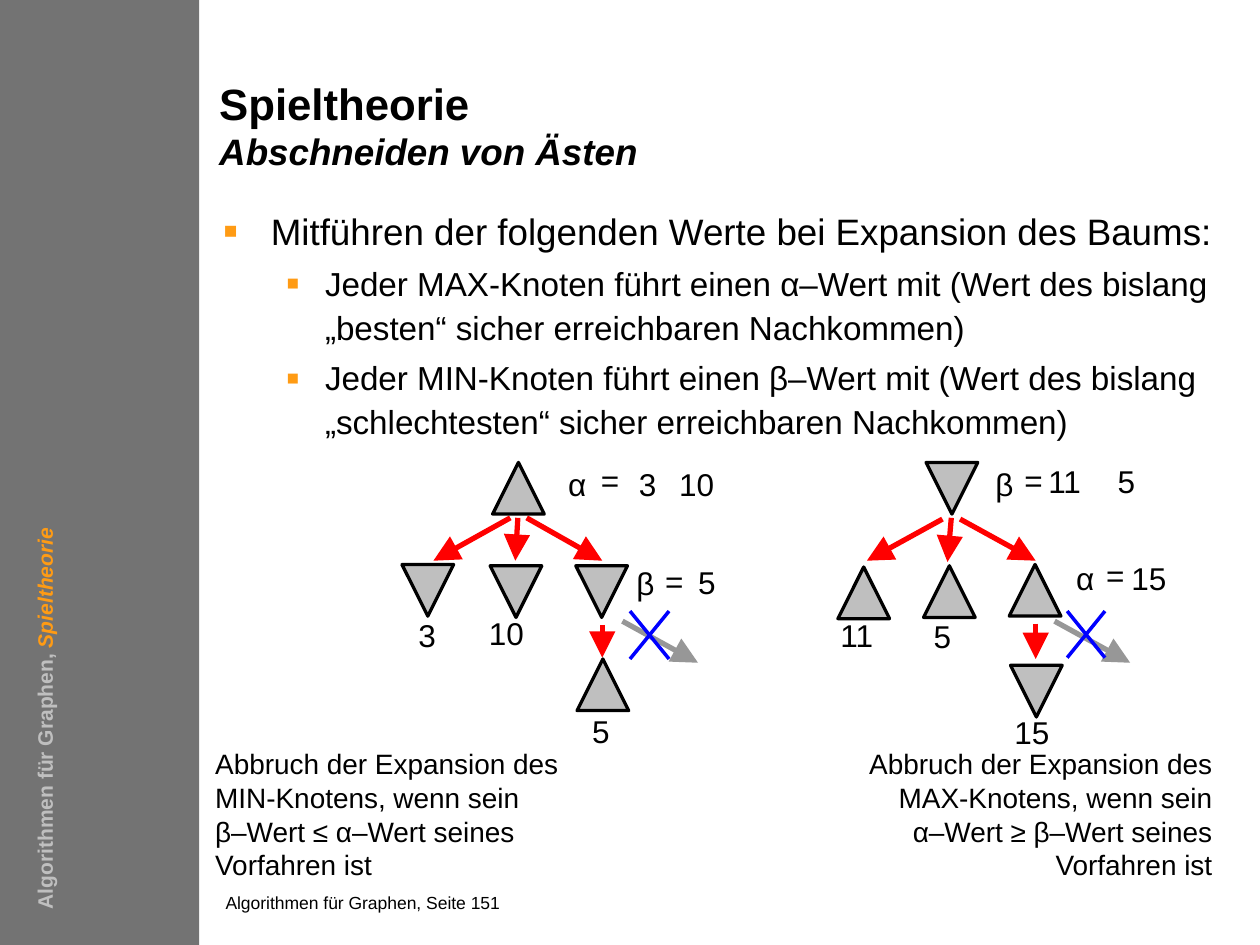
import pptx
import pptx.dml.color
import pptx.enum.shapes
import pptx.enum.text
import pptx.oxml
import pptx.oxml.ns
import pptx.util

Inches, Pt = pptx.util.Inches, pptx.util.Pt
SHAPES = pptx.enum.shapes.MSO_SHAPE
ALIGN = pptx.enum.text.PP_ALIGN
BLACK, ORANGE, RED, GREY, BLUE = "000000", "FF9B14", "FF0000", "979797", "0000FF"
NODE = 0.41

# Content
TITLE = [("Spieltheorie", 25, False), ("Abschneiden von Ästen", 21, True)]
FOOTER = "Algorithmen für Graphen, Seite 151"
CHAPTER = ["Algorithmen für Graphen, ", "Spieltheorie"]
# text, size, indent, hanging
BULLETS = [
    ("Mitführen der folgenden Werte bei Expansion des Baums:", 21, 0.38, 0.38),
    ("Jeder MAX-Knoten führt einen α–Wert mit (Wert des bislang "
     "„besten“ sicher erreichbaren Nachkommen)", 19, 0.81, 0.31),
    ("Jeder MIN-Knoten führt einen β–Wert mit (Wert des bislang "
     "„schlechtesten“ sicher erreichbaren Nachkommen)", 19, 0.81, 0.31),
]
# left, top, height, alignment, text
RULES = [
    (1.61, 5.88, 1.16, ALIGN.LEFT, "Abbruch der Expansion des MIN-Knotens, wenn sein\v"
     "β–Wert ≤ α–Wert seines Vorfahren ist"),
    (6.62, 5.88, 1.14, ALIGN.RIGHT, "Abbruch der Expansion des MAX-Knotens, wenn sein\v"
     "α–Wert ≥ β–Wert seines Vorfahren ist"),
]
# nodes: left, top, points up; arrows: start and tip; cross: left, top, right, bottom
TREES = [
    {"nodes": [(3.91, 3.67, True), (3.19, 4.48, False), (3.89, 4.49, False),
               (4.57, 4.49, False), (4.58, 5.23, True)],
     "arrows": [(4.05, 4.11, 3.44, 4.45), (4.11, 4.11, 4.09, 4.45),
                (4.18, 4.11, 4.78, 4.45), (4.78, 4.96, 4.78, 5.22)],
     "pruned": (4.94, 4.93, 5.54, 5.26),
     "cross": (5.0, 4.85, 5.31, 5.23),
     "labels": [("3", 3.32, 4.89), ("10", 3.88, 4.87), ("5", 4.7, 5.65),
                ("α", 4.51, 3.69), ("=", 4.77, 3.66), ("3", 5.07, 3.69), ("10", 5.39, 3.69),
                ("β", 5.05, 4.48), ("=", 5.28, 4.46), ("5", 5.54, 4.47)]},
    {"nodes": [(7.35, 3.67, False), (6.65, 4.5, True), (7.33, 4.49, True),
               (8.01, 4.48, True), (8.02, 5.28, False)],
     "arrows": [(7.48, 4.12, 6.88, 4.45), (7.55, 4.11, 7.52, 4.46),
                (7.62, 4.12, 8.22, 4.45), (8.22, 4.95, 8.22, 5.23)],
     "pruned": (8.37, 4.93, 8.97, 5.26),
     "cross": (8.47, 4.85, 8.77, 5.22),
     "labels": [("11", 6.67, 4.89), ("5", 7.41, 4.9), ("15", 8.05, 5.66),
                ("β", 7.9, 3.69), ("=", 8.13, 3.66), ("11", 8.32, 3.67), ("5", 8.87, 3.67),
                ("α", 8.54, 4.44), ("=", 8.78, 4.41), ("15", 8.98, 4.44)]},
]


def rgb(value):
    return pptx.dml.color.RGBColor.from_string(value)


def style(run, size, color=BLACK, bold=False, italic=False):
    run.font.name, run.font.size = "Arial", Pt(size)
    run.font.bold, run.font.italic = bold, italic
    run.font.color.rgb = rgb(color)


def add_text(left, top, width, height, text="", size=18, wrap=True, margins=(0, 0)):
    box = slide.shapes.add_textbox(Inches(left), Inches(top), Inches(width), Inches(height))
    frame = box.text_frame
    frame.word_wrap = wrap
    frame.margin_left = frame.margin_right = Inches(margins[0])
    frame.margin_top = frame.margin_bottom = Inches(margins[1])
    frame.text = text
    for run in frame.paragraphs[0].runs:
        style(run, size)
    return box


def add_shape(kind, left, top, width, height, fill):
    shape = slide.shapes.add_shape(kind, Inches(left), Inches(top), Inches(width), Inches(height))
    shape.shadow.inherit = False
    shape.fill.solid()
    shape.fill.fore_color.rgb = rgb(fill)
    shape.line.fill.background()
    return shape


def add_node(left, top, points_up):
    node = add_shape(SHAPES.ISOSCELES_TRIANGLE, left, top, NODE, NODE, "BFBFBF")
    node.line.color.rgb = rgb(BLACK)
    node.line.width = Pt(1.88)
    node.rotation = 0 if points_up else 180


def add_line(ends, color, width, arrow=False):
    line = slide.shapes.add_connector(pptx.enum.shapes.MSO_CONNECTOR.STRAIGHT,
                                      *[Inches(value) for value in ends])
    line.line.color.rgb = rgb(color)
    line.line.width = Pt(width)
    properties = line.line._get_or_add_ln()
    if arrow:
        add_xml(properties, '<a:tailEnd {} type="triangle" w="lg" len="lg"/>')
    add_xml(properties.getparent(), "<a:effectLst {}/>")


def add_xml(parent, xml):
    parent.append(pptx.oxml.parse_xml(xml.format(pptx.oxml.ns.nsdecls("a"))))


def add_bullet(paragraph, indent, hanging):
    properties = paragraph._p.get_or_add_pPr()
    properties.set("marL", str(Inches(indent)))
    properties.set("indent", str(-Inches(hanging)))
    for xml in (f'<a:buClr {{}}><a:srgbClr val="{ORANGE}"/></a:buClr>',
                '<a:buSzPct {} val="120000"/>',
                '<a:buFont {} typeface="Arial"/>',
                '<a:buChar {} char="▪"/>'):
        add_xml(properties, xml)


deck = pptx.Presentation()
deck.slide_width, deck.slide_height = Inches(10), Inches(7.5)
slide = deck.slides.add_slide(deck.slide_layouts[6])

# Sidebar with chapter line
add_shape(SHAPES.RECTANGLE, 0, 0, 1.58, 7.5, "737373")
chapter = add_text(-1.98, 4.83, 4.67, 0.3, margins=(0.1, 0.05))
chapter.rotation = 270
for words, color, italic in zip(CHAPTER, ("BFBFBF", ORANGE), (False, True)):
    run = chapter.text_frame.paragraphs[0].add_run()
    run.text = words
    style(run, 12, color, True, italic)

# Title and footer
heading = add_text(1.74, 0.67, 5.1, 0.75, "\v".join(words for words, _, _ in TITLE))
heading_lines = heading.text_frame.paragraphs[0]
heading_lines.line_spacing = Pt(25.4)
for run, (_, size, italic) in zip(heading_lines.runs, TITLE):
    style(run, size, bold=True, italic=italic)
add_text(1.79, 7.08, 4.86, 0.21, FOOTER, 10)

# Bullet list
body = add_text(1.77, 1.62, 8.07, 2.13).text_frame
for index, (words, size, indent, hanging) in enumerate(BULLETS):
    paragraph = body.add_paragraph() if index else body.paragraphs[0]
    paragraph.text = words
    add_bullet(paragraph, indent, hanging)
    paragraph.line_spacing = 1.1
    if index:
        paragraph.space_before = Pt(size * 0.2)
    style(paragraph.runs[0], size)

# Game trees
for tree in TREES:
    for arrow in tree["arrows"]:
        add_line(arrow, RED, 3, arrow=True)
    add_line(tree["pruned"], GREY, 3, arrow=True)
    for node in tree["nodes"]:
        add_node(*node)
    for words, left, top in tree["labels"]:
        add_text(left, top, 0.14 * len(words), 0.3, words, wrap=False)
    left, top, right, bottom = tree["cross"]
    add_line((left, top, right, bottom), BLUE, 2)
    add_line((left, bottom, right, top), BLUE, 2)

# Cut-off rules
for left, top, height, alignment, words in RULES:
    rule = add_text(left, top, 3.1, height, words, 16, margins=(0.1, 0.05))
    rule.text_frame.paragraphs[0].alignment = alignment

deck.save("out.pptx")
